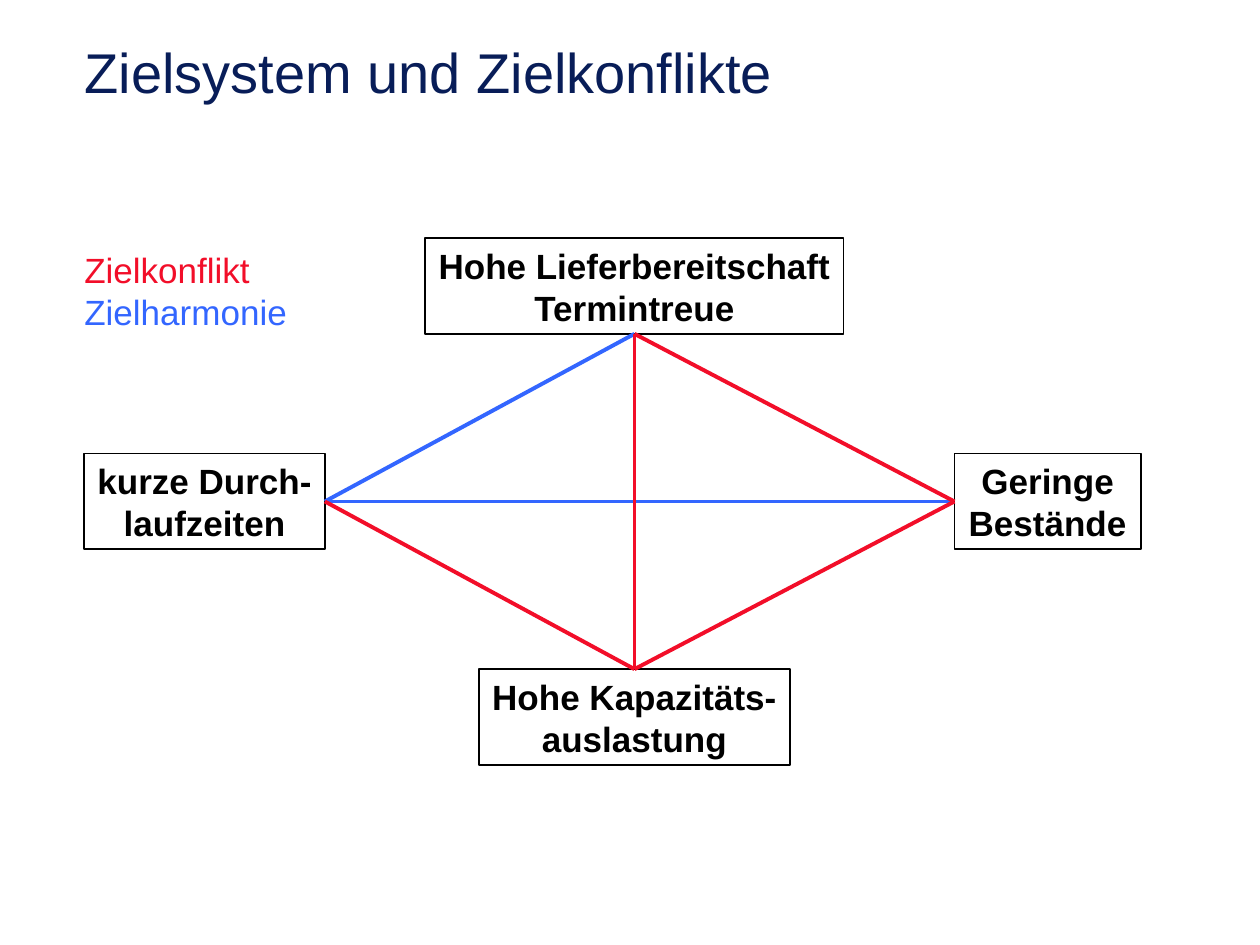
from lxml.etree import SubElement
from pptx import Presentation
from pptx.dml.color import RGBColor as Color
from pptx.enum.shapes import MSO_CONNECTOR as Link, MSO_SHAPE as Shape
from pptx.enum.text import MSO_ANCHOR as Anchor, MSO_AUTO_SIZE as Fit, PP_ALIGN as Align
from pptx.oxml.ns import qn
from pptx.util import Cm, Pt

NAVY = Color(0x08, 0x1D, 0x58)
BLACK = Color(0, 0, 0)
RED = Color(0xF2, 0x0E, 0x29)
BLUE = Color(0x33, 0x66, 0xFF)

HEAD = {"name": "Arial", "size": Pt(32), "bold": False}
GOAL = {"name": "Arial", "size": Pt(20), "bold": True}
KEY = {"name": "Arial", "size": Pt(20), "bold": False}
LOOSE = {"word_wrap": False, "auto_size": Fit.SHAPE_TO_FIT_TEXT, "vertical_anchor": Anchor.TOP}
LOW = {"word_wrap": True, "auto_size": Fit.NONE, "vertical_anchor": Anchor.BOTTOM}

TOP, LEFT, DOWN, RIGHT = range(4)


def apply(target, style):
    for key, value in style.items():
        setattr(target, key, value)


def write(frame, lines, font, layout, align):
    apply(frame, layout)
    para = frame.paragraphs[0]
    para.alignment = align
    for i, (text, color) in enumerate(lines):
        if i:
            para.add_line_break()
        run = para.add_run()
        run.text = text
        apply(run.font, font)
        run.font.color.rgb = color


def add_title(slide, x, y, w, h):
    title = slide.shapes.title
    apply(title, {"left": x, "top": y, "width": w, "height": h})
    write(title.text_frame, [("Zielsystem und Zielkonflikte", NAVY)], HEAD, LOW, Align.LEFT)


def add_key(slide, x, y, w, h):
    box = slide.shapes.add_textbox(x, y, w, h)
    lines = [("Zielkonflikt", RED), ("Zielharmonie", BLUE)]
    write(box.text_frame, lines, KEY, LOOSE, Align.LEFT)


def add_goal(slide, x, y, w, h, lines):
    box = slide.shapes.add_shape(Shape.RECTANGLE, x, y, w, h)
    box.shadow.inherit = False
    box.fill.background()
    box.line.color.rgb = BLACK
    box.line.width = Pt(1)
    write(box.text_frame, [(line, BLACK) for line in lines], GOAL, LOOSE, Align.CENTER)
    return box


def add_link(slide, start, end, color):
    line = slide.shapes.add_connector(Link.STRAIGHT, 0, 0, 0, 0)
    line.begin_connect(*start)
    line.end_connect(*end)
    line.line.color.rgb = color
    line.line.width = Pt(2.25)
    SubElement(line._element.spPr, qn("a:effectLst"))


def add_goals(slide, x, y, w, h):
    tall = Cm(1.93)
    axis = x + Cm(11.09)
    mid, base = y + (h - tall) // 2, y + h - tall
    wide, thin, slim, broad = Cm(8.43), Cm(4.85), Cm(3.76), Cm(6.28)
    due = add_goal(slide, axis - wide // 2, y, wide, tall,
                   ["Hohe Lieferbereitschaft", "Termintreue"])
    time = add_goal(slide, x, mid, thin, tall, ["kurze Durch-", "laufzeiten"])
    stock = add_goal(slide, x + w - slim, mid, slim, tall, ["Geringe", "Bestände"])
    load = add_goal(slide, axis - broad // 2, base, broad, tall,
                    ["Hohe Kapazitäts-", "auslastung"])

    north, west, east, south = (due, DOWN), (time, RIGHT), (stock, LEFT), (load, TOP)
    links = [
        (west, north, BLUE),
        (west, east, BLUE),
        (north, south, RED),
        (west, south, RED),
        (south, east, RED),
        (north, east, RED),
    ]
    for start, end, color in links:
        add_link(slide, start, end, color)


def main():
    deck = Presentation()
    deck.slide_width, deck.slide_height = Cm(25.4), Cm(19.05)
    slide = deck.slides.add_slide(deck.slide_layouts[5])
    add_title(slide, Cm(1.45), Cm(0.69), Cm(23.2), Cm(1.55))
    add_goals(slide, Cm(1.7), Cm(4.8), Cm(21.3), Cm(10.62))
    add_key(slide, Cm(1.45), Cm(4.88), Cm(4.6), Cm(1.96))
    deck.save("out.pptx")


if __name__ == "__main__":
    main()
